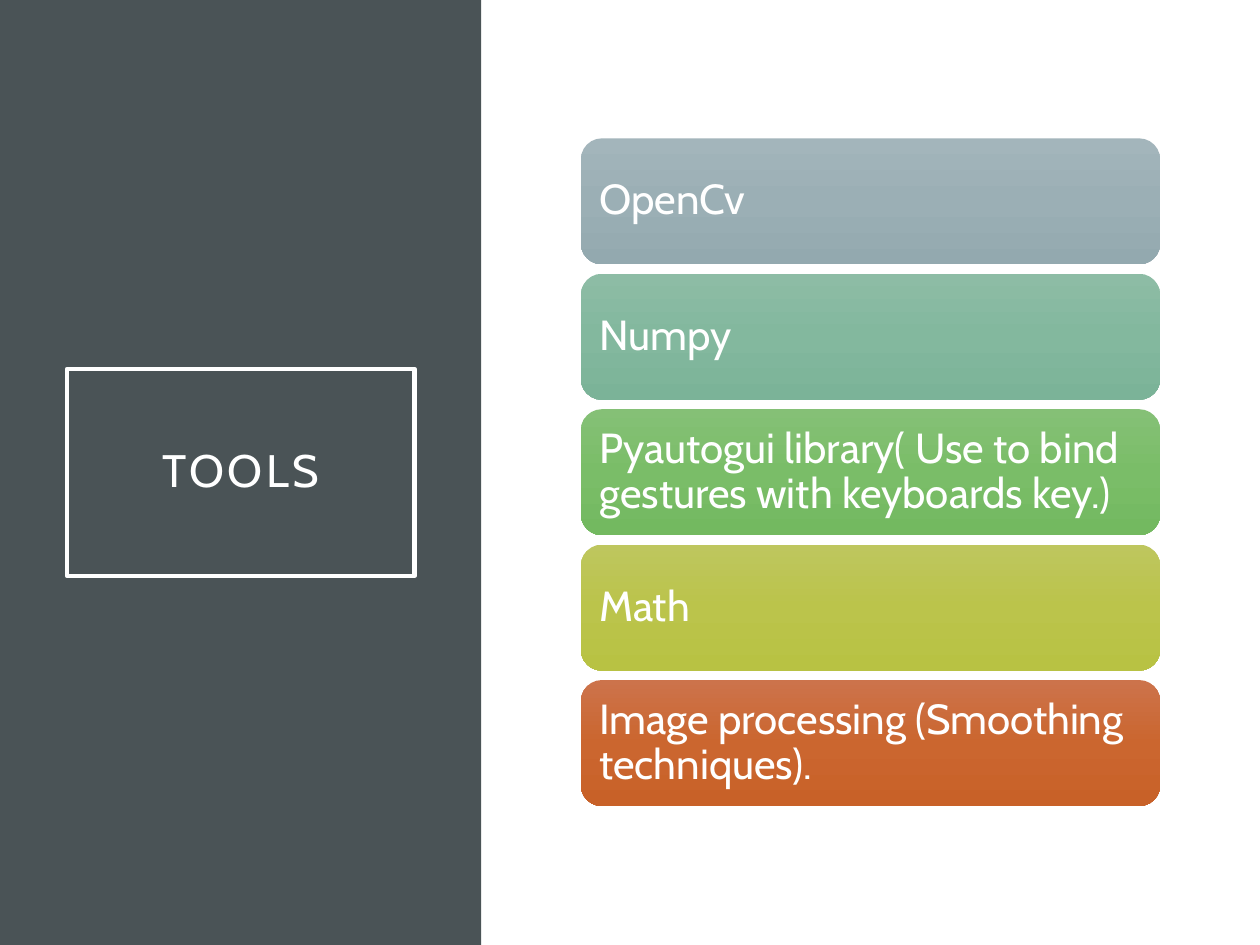
from copy import deepcopy
from dataclasses import dataclass

from pptx import Presentation
from pptx.dml.color import RGBColor as Rgb
from pptx.enum.shapes import MSO_SHAPE as Kind
from pptx.enum.text import MSO_ANCHOR as Anchor, MSO_AUTO_SIZE as Fit, PP_ALIGN as Align
from pptx.oxml.ns import qn
from pptx.util import Cm, Pt

HUES = {
    "white": "FFFFFF",
    "slate": "4A5356",
}
FONT = "Cabin"
LEFT, TOP, WIDE, HIGH, STEP = 11.71, 2.79, 11.68, 2.54, 2.73


@dataclass
class Card:
    text: str
    tones: tuple[str, str, str]


CARDS = [
    Card("OpenCv", ("A3B5BB", "9BAFB5", "93A9AF")),
    Card("Numpy", ("8DBCA5", "83B89E", "7BB398")),
    Card("Pyautogui library( Use to bind gestures with keyboards key.)",
         ("85C076", "7ABD68", "73B960")),
    Card("Math", ("BEC65E", "BBC44B", "B8C243")),
    Card("Image processing (Smoothing techniques).",
         ("CC734B", "CB662F", "C86128")),
]


def hue(name: str) -> Rgb:
    return Rgb.from_string(HUES[name])


def write(shape, text: str, size: float, align: Align, pad: float) -> None:
    frame = shape.text_frame
    frame.text = text
    frame.word_wrap = True
    frame.auto_size = Fit.NONE
    frame.vertical_anchor = Anchor.MIDDLE
    frame.margin_left = frame.margin_right = Cm(pad)
    frame.margin_top = frame.margin_bottom = Cm(pad)
    para = frame.paragraphs[0]
    para.alignment = align
    para.line_spacing = 0.9
    font = para.runs[0].font
    font.name, font.size = FONT, Pt(size)
    font.color.rgb = hue("white")


def shade(shape, tones: tuple[str, str, str]) -> None:
    """Fill from top to bottom with evenly spaced tones."""
    fill = shape.fill
    fill.gradient()
    fill.gradient_angle = 270
    stops = shape.element.find(".//" + qn("a:gsLst"))
    stops.append(deepcopy(stops[-1]))
    for i, (stop, tone) in enumerate(zip(fill.gradient_stops, tones)):
        stop.position = i / (len(tones) - 1)
        stop.color.rgb = Rgb.from_string(tone)


def draw_card(group, card: Card, row: int) -> None:
    box = group.shapes.add_shape(Kind.ROUNDED_RECTANGLE, Cm(LEFT),
                                 Cm(TOP + row * STEP), Cm(WIDE), Cm(HIGH))
    box.shadow.inherit = False
    box.line.fill.background()
    shade(box, card.tones)
    write(box, card.text, 24, Align.LEFT, 0.25)


def draw_title(slide) -> None:
    title = slide.shapes.title
    title.left, title.top = Cm(1.35), Cm(7.44)
    title.width, title.height = Cm(7.01), Cm(4.17)
    title.line.color.rgb = hue("white")
    title.line.width = Pt(2.5)
    write(title, "TOOLS", 26, Align.CENTER, 0.5)
    title.element.find(".//" + qn("a:rPr")).set("spc", "200")


def draw_panel(slide, high: int) -> None:
    """Draw the dark side panel behind the title."""
    panel = slide.shapes.add_shape(Kind.RECTANGLE, 0, 0, Cm(9.7), high)
    panel.shadow.inherit = False
    panel.fill.solid()
    panel.fill.fore_color.rgb = hue("slate")
    panel.line.fill.background()
    slide.shapes.title.element.addprevious(panel.element)


def main() -> None:
    deck = Presentation()
    deck.slide_width, deck.slide_height = Cm(25.4), Cm(19.05)
    slide = deck.slides.add_slide(deck.slide_layouts[5])
    draw_panel(slide, deck.slide_height)
    draw_title(slide)
    group = slide.shapes.add_group_shape()
    for row, card in enumerate(CARDS):
        draw_card(group, card, row)
    deck.save("out.pptx")


if __name__ == "__main__":
    main()
